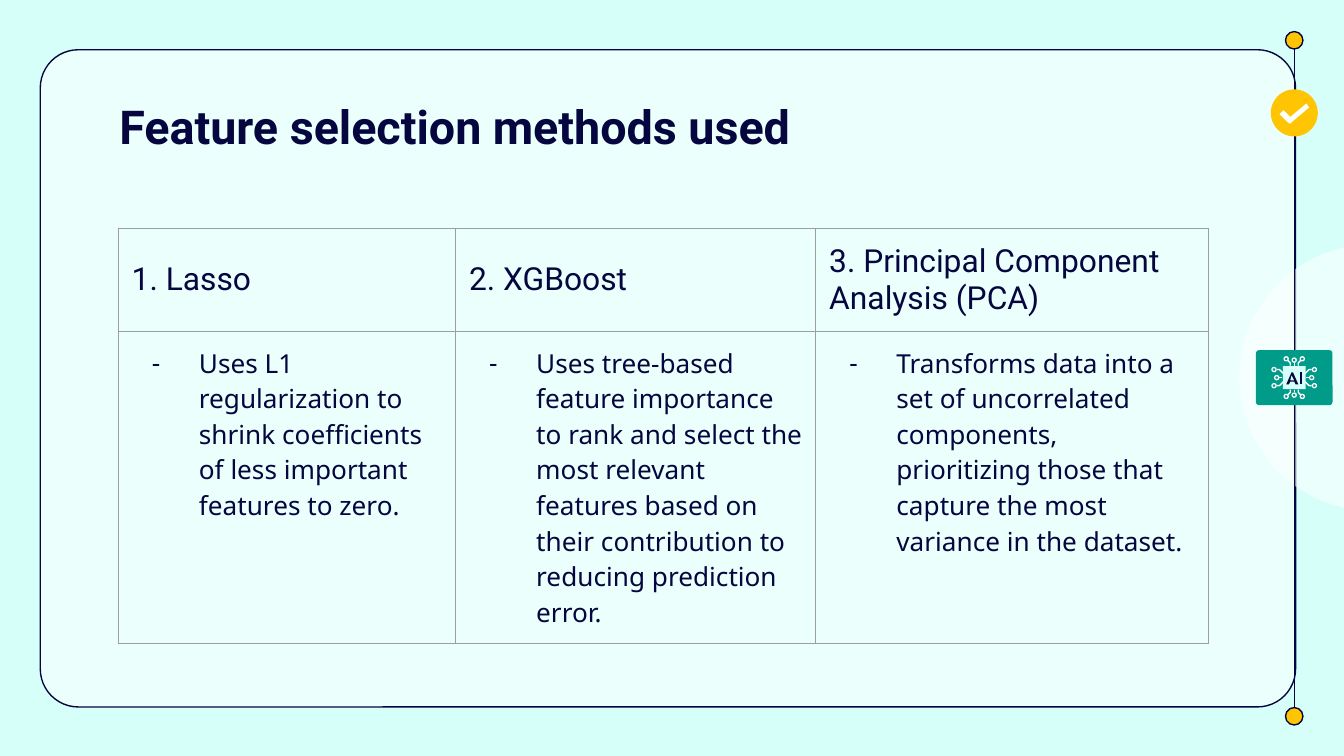
from itertools import product
from lxml import etree
from pptx import Presentation
from pptx.dml.color import RGBColor
from pptx.enum import shapes, text
from pptx.oxml import ns
from pptx.util import Inches, Pt

TITLE = "Feature selection methods used"
METHODS = [
    ("1. Lasso", 2.51,
     "Uses L1 regularization to shrink coefficients of less important features to zero."),
    ("2. XGBoost", 2.68,
     "Uses tree-based feature importance to rank and select the most relevant features "
     "based on their contribution to reducing prediction error."),
    ("3. Principal Component Analysis (PCA)", 2.92,
     "Transforms data into a set of uncorrelated components, prioritizing those that "
     "capture the most variance in the dataset."),
]
ROW_HEIGHTS = (0.75, 2.32)
THEME = {
    "background": "D6FFF9", "ink": "05063F", "white": "FFFFFF", "accent": "FFC402",
    "card": "009B89", "border": "9E9E9E", "heading_font": "Roboto", "body_font": "Noto Sans",
    "title": 25, "heading": 17, "body": 14, "line": 0.75, "veil": 53,
}
RAIL_X = 9.63
CHIP_Y = 2.81
CHIP_NODES = [(0, 0.13), (0.06, 0.14), (0.13, 0), (0.15, 0.06)]
CHIP_TRACES = [
    [(0, 0.09), (0, 0.11)],
    [(0.03, 0.09), (0.03, 0.11), (0.05, 0.13)],
    [(0.09, 0), (0.11, 0)],
    [(0.08, 0.03), (0.11, 0.06), (0.13, 0.06)],
]
LETTER_A = [
    [(9.63, 2.84), (9.6, 2.84), (9.59, 2.86), (9.57, 2.86), (9.61, 2.77),
     (9.62, 2.77), (9.66, 2.86), (9.64, 2.86)],
    [(9.6, 2.83), (9.63, 2.83), (9.61, 2.79)],
]
LETTER_I = [[(9.67, 2.77), (9.69, 2.77), (9.69, 2.86), (9.67, 2.86)]]
CHECK = [[(9.52, 0.85), (9.55, 0.82), (9.6, 0.87), (9.72, 0.77), (9.74, 0.8),
          (9.61, 0.91), (9.6, 0.92), (9.58, 0.91)]]


def color(name):
    return RGBColor.from_string(THEME[name])


def add_xml(parent, tag, **attributes):
    return etree.SubElement(parent, ns.qn(tag), attributes)


def style(sp, fill=None, line=None, alpha=None):
    sp.shadow.inherit = False
    if fill:
        sp.fill.solid()
        sp.fill.fore_color.rgb = color(fill)
        if alpha:
            clr = sp._element.spPr.find(".//" + ns.qn("a:srgbClr"))
            add_xml(clr, "a:alpha", val=str(alpha * 1000))
    else:
        sp.fill.background()
    if line:
        sp.line.color.rgb = color(line)
        sp.line.width = Pt(THEME["line"])
    else:
        sp.line.fill.background()


def add_preset(slide, kind, x, y, w, h, adj=None, **look):
    sp = slide.shapes.add_shape(kind, Inches(x), Inches(y), Inches(w), Inches(h))
    if adj is not None:
        sp.adjustments[0] = adj
    style(sp, **look)


def add_centered(slide, kind, cx, cy, w, h, **look):
    add_preset(slide, kind, cx - w / 2, cy - h / 2, w, h, **look)


def add_outline(slide, contours, close=True, **look):
    contours = [[(Inches(x), Inches(y)) for x, y in c] for c in contours]
    fb = slide.shapes.build_freeform(*contours[0][0])
    fb.add_line_segments(contours[0][1:], close=close)
    for c in contours[1:]:
        fb.move_to(*c[0])
        fb.add_line_segments(c[1:], close=close)
    style(fb.convert_to_shape(), **look)


def write(tf, content, size, font="heading_font", bold=False, bullet=None):
    p = tf.paragraphs[0]
    r = p.add_run()
    r.text = content
    r.font.size, r.font.bold = Pt(THEME[size]), bold
    r.font.name, r.font.color.rgb = THEME[font], color("ink")
    if bullet:
        pPr = p._p.get_or_add_pPr()
        pPr.set("marL", str(Inches(0.5)))
        pPr.set("indent", str(-Inches(0.35)))
        add_xml(add_xml(pPr, "a:buClr"), "a:srgbClr", val=THEME["ink"])
        add_xml(pPr, "a:buFont", typeface=THEME[font])
        add_xml(pPr, "a:buChar", char=bullet)


def add_rail(slide):
    oval = shapes.MSO_SHAPE.OVAL
    add_centered(slide, oval, 10.21, 2.81, 1.98, 1.98, fill="white", alpha=THEME["veil"])
    for y in (0.3, 5.33):
        add_centered(slide, oval, RAIL_X, y, 0.13, 0.13, fill="accent", line="ink")
    rail = slide.shapes.add_connector(shapes.MSO_CONNECTOR.STRAIGHT, Inches(RAIL_X),
                                      Inches(0.36), Inches(RAIL_X), Inches(5.27))
    rail.line.color.rgb = color("ink")
    rail.line.width = Pt(THEME["line"])
    add_xml(rail._element.spPr, "a:effectLst")


def add_badge(slide):
    add_centered(slide, shapes.MSO_SHAPE.OVAL, RAIL_X, 0.84, 0.35, 0.35, fill="accent")
    add_outline(slide, CHECK, fill="white")


def add_chip(slide):
    kinds = shapes.MSO_SHAPE
    add_centered(slide, kinds.ROUNDED_RECTANGLE, RAIL_X, CHIP_Y, 0.57, 0.41,
                 adj=0.06, fill="card")
    mirrors = list(product((-1, 1), repeat=2))
    nodes = {(RAIL_X + sx * x, CHIP_Y + sy * y) for x, y in CHIP_NODES for sx, sy in mirrors}
    traces = {tuple((RAIL_X + sx * x, CHIP_Y + sy * y) for x, y in trace)
              for trace in CHIP_TRACES for sx, sy in mirrors}
    for trace in sorted(traces):
        add_outline(slide, [trace], close=False, line="white")
    for cx, cy in sorted(nodes):
        add_centered(slide, kinds.DONUT, cx, cy, 0.04, 0.04, adj=0.25, fill="white")
    add_centered(slide, kinds.RECTANGLE, RAIL_X, CHIP_Y, 0.17, 0.17, fill="background")
    for letter in (LETTER_A, LETTER_I):
        add_outline(slide, letter, fill="ink")


def format_cell(cell):
    cell.margin_left = cell.margin_right = cell.margin_top = cell.margin_bottom = Inches(0.1)
    tcPr = cell._tc.get_or_add_tcPr()
    for side in ("a:lnL", "a:lnR", "a:lnT", "a:lnB"):
        ln = add_xml(tcPr, side, w=str(Pt(THEME["line"])))
        add_xml(add_xml(ln, "a:solidFill"), "a:srgbClr", val=THEME["border"])
    cell.fill.background()


def add_methods(slide):
    widths = [width for _, width, _ in METHODS]
    table = slide.shapes.add_table(2, len(METHODS), Inches(0.88), Inches(1.7),
                                   Inches(sum(widths)), Inches(sum(ROW_HEIGHTS))).table
    table.first_row = table.horz_banding = False
    for row, height in zip(table.rows, ROW_HEIGHTS):
        row.height = Inches(height)
    for i, (name, width, description) in enumerate(METHODS):
        table.columns[i].width = Inches(width)
        head, body = table.cell(0, i), table.cell(1, i)
        format_cell(head)
        format_cell(body)
        head.vertical_anchor = text.MSO_ANCHOR.MIDDLE
        write(head.text_frame, name, "heading")
        write(body.text_frame, description, "body", font="body_font", bullet="-")


def add_title(slide):
    tf = slide.shapes.add_textbox(Inches(0.79), Inches(0.63), Inches(8.43), Inches(0.63)).text_frame
    tf.word_wrap = True
    tf.margin_left = tf.margin_right = tf.margin_top = tf.margin_bottom = Inches(0.1)
    write(tf, TITLE, "title", bold=True)


def main():
    prs = Presentation()
    prs.slide_width = Inches(10)
    prs.slide_height = prs.slide_width * 9 // 16
    slide = prs.slides.add_slide(prs.slide_layouts[6])
    slide.background.fill.solid()
    slide.background.fill.fore_color.rgb = color("background")
    add_preset(slide, shapes.MSO_SHAPE.ROUNDED_RECTANGLE, 0.3, 0.37, 9.34, 4.89,
               adj=0.058, fill="white", line="ink", alpha=THEME["veil"])
    add_rail(slide)
    add_chip(slide)
    add_badge(slide)
    add_title(slide)
    add_methods(slide)
    prs.save("out.pptx")


if __name__ == "__main__":
    main()
